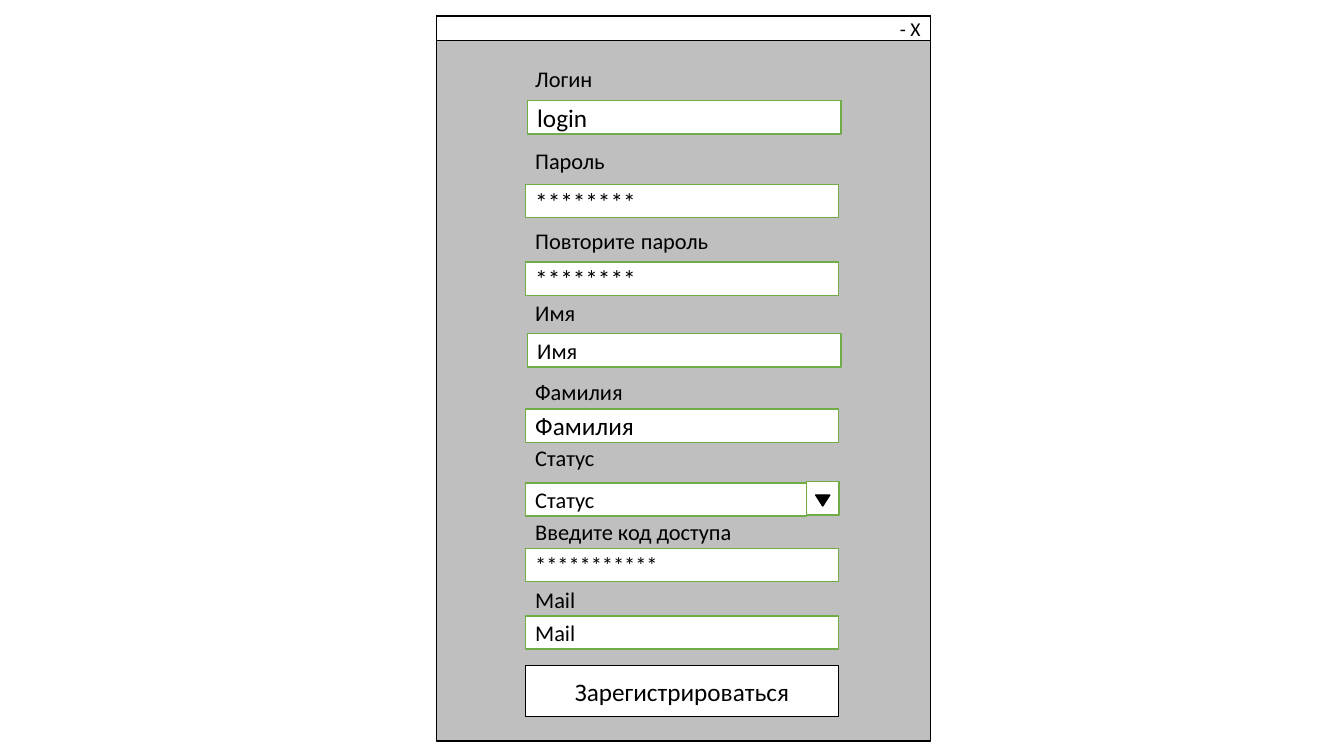
from pptx import Presentation
from pptx.dml.color import RGBColor
from pptx.enum.shapes import MSO_SHAPE
from pptx.enum.text import MSO_ANCHOR, MSO_AUTO_SIZE, PP_ALIGN
from pptx.util import Emu, Pt

RECTANGLE = MSO_SHAPE.RECTANGLE
TRIANGLE = MSO_SHAPE.ISOSCELES_TRIANGLE
MIDDLE = MSO_ANCHOR.MIDDLE
LEFT, CENTER, RIGHT = PP_ALIGN.LEFT, PP_ALIGN.CENTER, PP_ALIGN.RIGHT
GROW = MSO_AUTO_SIZE.SHAPE_TO_FIT_TEXT

EMU_PER_PX = 9144
BLACK, WHITE, GRAY, GREEN = "000000", "FFFFFF", "BFBFBF", "70AD47"
FORM_LEFT, FORM_WIDTH = 521, 311
FIELD_HEIGHT, LABEL_HEIGHT = 33, 37
STATUS_WIDTH = 279

FIELDS = [
    (["Логин"], 60, "login", 523, 100, FORM_WIDTH, 18),
    (["Пароль"], 141, "********", FORM_LEFT, 183, FORM_WIDTH, 18),
    (["Повторите", " ", "пароль"], 218, "********", FORM_LEFT, 260, FORM_WIDTH, 18),
    (["Имя"], 292, "Имя", 523, 331, FORM_WIDTH, 16),
    (["Фамилия"], 370, "Фамилия", FORM_LEFT, 406, FORM_WIDTH, 18),
    (["Статус"], 436, "Статус", FORM_LEFT, 479, STATUS_WIDTH, 16),
    (["Введите код доступа"], 509, "***********", FORM_LEFT, 544, FORM_WIDTH, 16),
    (["Mail"], 577, "Mail", FORM_LEFT, 611, FORM_WIDTH, 16),
]


def px(*lengths):
    return [Emu(length * EMU_PER_PX) for length in lengths]


def color(value):
    return RGBColor.from_string(value)


def add_span(para, text, size):
    span = para.add_run()
    span.text = text
    span.font.name = "Calibri"
    span.font.size = Pt(size)
    span.font.color.rgb = color(BLACK)


def add_box(page, bounds, fill, line, kind=RECTANGLE):
    box = page.shapes.add_shape(kind, *px(*bounds))
    box.shadow.inherit = False
    box.fill.solid()
    box.fill.fore_color.rgb = color(fill)
    box.line.color.rgb = color(line)
    box.line.width = Pt(1)
    return box


def add_text_box(page, bounds, line, text, size, align):
    box = add_box(page, bounds, WHITE, line)
    box.text_frame.vertical_anchor = MIDDLE
    para = box.text_frame.paragraphs[0]
    para.alignment = align
    add_span(para, text, size)


def add_label(page, top, words):
    label = page.shapes.add_textbox(*px(FORM_LEFT, top, FORM_WIDTH, LABEL_HEIGHT))
    label.text_frame.word_wrap = True
    label.text_frame.auto_size = GROW
    for word in words:
        add_span(label.text_frame.paragraphs[0], word, 18 if word == " " else 16)


def add_dropdown_button(page):
    add_box(page, (FORM_LEFT + STATUS_WIDTH, 478, 32, FIELD_HEIGHT), WHITE, GREEN)
    arrow = add_box(page, (809, 491, 14, 11), BLACK, BLACK, TRIANGLE)
    arrow.rotation = 180


def main():
    deck = Presentation()
    deck.slide_width, deck.slide_height = px(1333, 750)
    page = deck.slides.add_slide(deck.slide_layouts[6])
    add_box(page, (433, 16, 490, 719), GRAY, BLACK)
    add_text_box(page, (433, 16, 490, 24), BLACK, "- X", 14, RIGHT)
    for words, label_top, value, left, top, width, size in FIELDS:
        add_text_box(page, (left, top, width, FIELD_HEIGHT), GREEN, value, size, LEFT)
        add_label(page, label_top, words)
    add_dropdown_button(page)
    add_text_box(page, (FORM_LEFT, 660, FORM_WIDTH, 51), BLACK,
                 "Зарегистрироваться", 18, CENTER)
    deck.save("out.pptx")


if __name__ == "__main__":
    main()
